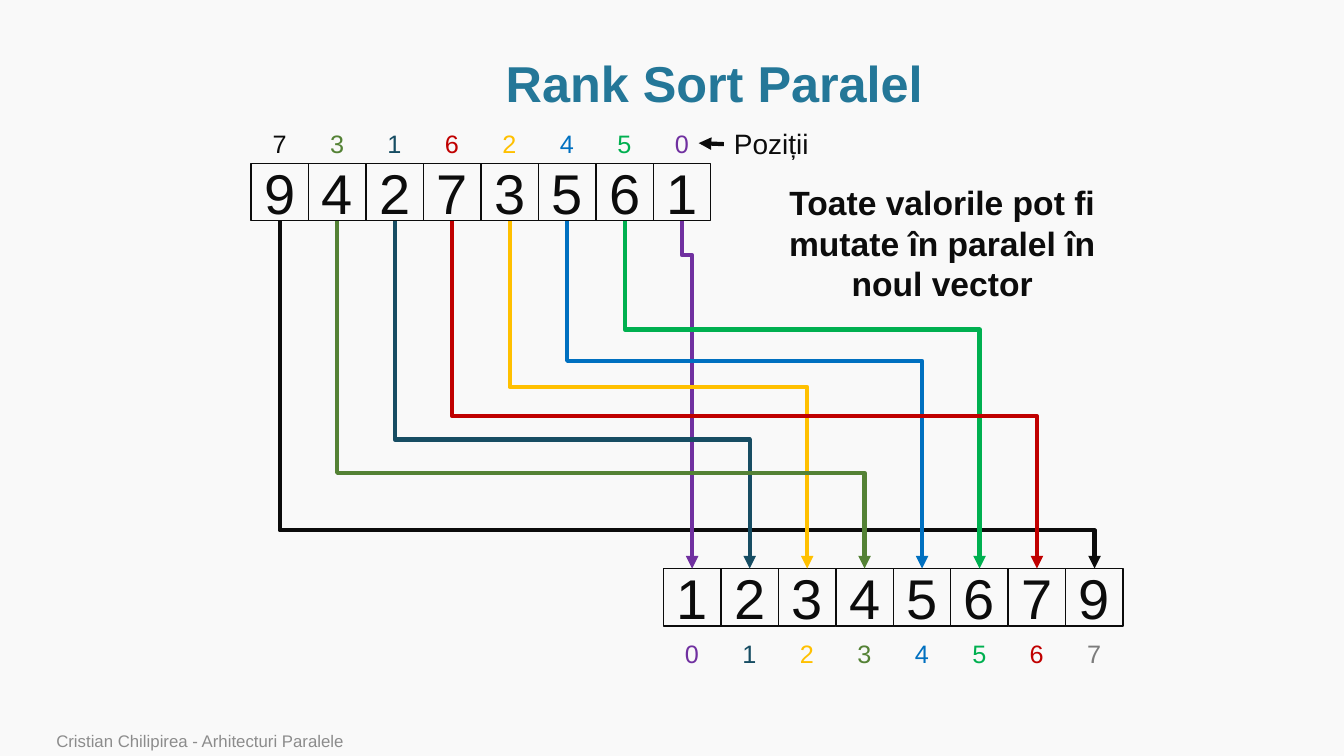
"""Build the parallel rank sort slide."""
from dataclasses import dataclass

from lxml import etree
from pptx import Presentation
from pptx.dml.color import RGBColor
from pptx.enum.shapes import MSO_CONNECTOR, MSO_SHAPE
from pptx.enum.text import MSO_ANCHOR, MSO_AUTO_SIZE, PP_ALIGN
from pptx.oxml.ns import qn
from pptx.shapes.connector import Connector
from pptx.slide import Slide
from pptx.text.text import TextFrame
from pptx.util import Inches, Pt

RECTANGLE = MSO_SHAPE.RECTANGLE
STRAIGHT, ELBOW = MSO_CONNECTOR.STRAIGHT, MSO_CONNECTOR.ELBOW
LEFT, CENTER = PP_ALIGN.LEFT, PP_ALIGN.CENTER
TOP, MIDDLE, BOTTOM = MSO_ANCHOR.TOP, MSO_ANCHOR.MIDDLE, MSO_ANCHOR.BOTTOM
NO_RESIZE, FIT_SHAPE = MSO_AUTO_SIZE.NONE, MSO_AUTO_SIZE.SHAPE_TO_FIT_TEXT
QUARTER_TURN_LEFT = "16200000"


@dataclass(frozen=True)
class Theme:
    font: str = "Arial"
    background: str = "F9F9F9"
    title: str = "247798"
    ink: str = "0C0C0C"
    footer: str = "8C8C8C"
    last_rank: str = "7C7C7C"
    title_size: int = 36
    cell_size: int = 40
    rank_size: int = 18
    caption_size: int = 20
    message_size: int = 24
    footer_size: int = 12
    arrow_width: int = 3


@dataclass(frozen=True)
class Element:
    value: int
    rank: int
    color: str
    bend: float


@dataclass(frozen=True)
class Vector:
    left: float
    top: float
    rank_top: float

    def cell_left(self, index: int) -> float:
        return self.left + index * CELL


THEME = Theme()
CELL = 0.57
RANK_WIDTH, RANK_HEIGHT = 0.34, 0.4
UNSORTED = Vector(2.49, 1.62, 1.22)
SORTED = Vector(6.58, 5.64, 6.28)
ELEMENTS = [
    Element(9, 7, THEME.ink, 5.26),
    Element(4, 3, "548235", 4.69),
    Element(2, 1, "174D63", 4.36),
    Element(7, 6, "C00000", 4.13),
    Element(3, 2, "FFC000", 3.84),
    Element(5, 4, "0070C0", 3.58),
    Element(6, 5, "00B050", 3.27),
    Element(1, 0, "7030A0", 2.53),
]


def write(frame: TextFrame, text: str, size: int, color: str,
          align: PP_ALIGN = LEFT, bold: bool = False) -> None:
    frame.text = text
    paragraph = frame.paragraphs[0]
    paragraph.alignment = align
    paragraph.font.name = THEME.font
    paragraph.font.size = Pt(size)
    paragraph.font.bold = bold
    paragraph.font.color.rgb = RGBColor.from_string(color)


def add_text(slide: Slide, left: float, top: float, width: float, height: float,
             text: str, size: int, color: str, align: PP_ALIGN = LEFT, bold: bool = False,
             wrap: bool = False, anchor: MSO_ANCHOR = TOP,
             resize: MSO_AUTO_SIZE = FIT_SHAPE) -> None:
    box = slide.shapes.add_textbox(Inches(left), Inches(top), Inches(width), Inches(height))
    frame = box.text_frame
    frame.word_wrap = wrap
    frame.auto_size = resize
    frame.vertical_anchor = anchor
    write(frame, text, size, color, align, bold)


def add_cell(slide: Slide, vector: Vector, index: int, element: Element,
             rank_color: str) -> None:
    left = vector.cell_left(index)
    cell = slide.shapes.add_shape(
        RECTANGLE, Inches(left), Inches(vector.top), Inches(CELL), Inches(CELL))
    cell.shadow.inherit = False
    cell.fill.background()
    cell.line.color.rgb = RGBColor.from_string(THEME.ink)
    cell.line.width = Pt(1)
    cell.text_frame.vertical_anchor = MIDDLE
    write(cell.text_frame, str(element.value), THEME.cell_size, THEME.ink, CENTER)
    add_text(slide, left + (CELL - RANK_WIDTH) / 2, vector.rank_top, RANK_WIDTH, RANK_HEIGHT,
             str(element.rank), THEME.rank_size, rank_color)


def add_arrow(slide: Slide, kind: MSO_CONNECTOR, start_x: float, start_y: float,
              end_x: float, end_y: float, color: str) -> Connector:
    arrow = slide.shapes.add_connector(
        kind, Inches(start_x), Inches(start_y), Inches(end_x), Inches(end_y))
    arrow.line.color.rgb = RGBColor.from_string(color)
    arrow.line.width = Pt(THEME.arrow_width)
    properties = arrow._element.spPr
    etree.SubElement(properties.find(qn("a:ln")), qn("a:tailEnd"), type="triangle")
    etree.SubElement(properties, qn("a:effectLst"))
    return arrow


def add_move(slide: Slide, index: int, element: Element) -> None:
    start_x = UNSORTED.cell_left(index) + CELL / 2
    end_x = SORTED.cell_left(element.rank) + CELL / 2
    start_y, end_y = UNSORTED.top + CELL, SORTED.top
    middle_x, middle_y = (start_x + end_x) / 2, (start_y + end_y) / 2
    half_width, half_height = (end_x - start_x) / 2, (end_y - start_y) / 2
    arrow = add_arrow(slide, ELBOW, middle_x + half_height, middle_y - half_width,
                      middle_x - half_height, middle_y + half_width, element.color)
    properties = arrow._element.spPr
    properties.find(qn("a:xfrm")).set("rot", QUARTER_TURN_LEFT)
    geometry = properties.find(qn("a:prstGeom"))
    adjustments = geometry.find(qn("a:avLst"))
    if adjustments is None:
        adjustments = etree.SubElement(geometry, qn("a:avLst"))
    bend = round((element.bend - start_y) / (end_y - start_y) * 100000)
    etree.SubElement(adjustments, qn("a:gd"), name="adj1", fmla=f"val {bend}")


def add_title(slide: Slide, text: str) -> None:
    title = slide.shapes.title
    title.left, title.top = Inches(1.14), Inches(0.51)
    title.width, title.height = Inches(11.89), Inches(0.69)
    title.text_frame.vertical_anchor = MIDDLE
    write(title.text_frame, text, THEME.title_size, THEME.title, CENTER, bold=True)
    title.text_frame.paragraphs[0].line_spacing = 0.9


def main() -> None:
    presentation = Presentation()
    presentation.slide_width, presentation.slide_height = Inches(13.33), Inches(7.5)
    slide = presentation.slides.add_slide(presentation.slide_layouts[5])
    slide.background.fill.solid()
    slide.background.fill.fore_color.rgb = RGBColor.from_string(THEME.background)
    add_title(slide, "Rank Sort Paralel")

    for index, element in enumerate(ELEMENTS):
        add_cell(slide, UNSORTED, index, element, element.color)
    add_text(slide, 7.18, 1.21, 0.95, 0.44, "Poziții", THEME.caption_size, THEME.ink)
    for element in sorted(ELEMENTS, key=lambda item: item.rank):
        is_last = element.rank == len(ELEMENTS) - 1
        add_cell(slide, SORTED, element.rank, element,
                 THEME.last_rank if is_last else element.color)

    add_arrow(slide, STRAIGHT, 7.18, 1.43, 6.93, 1.42, THEME.ink)
    moves = sorted(enumerate(ELEMENTS), key=lambda move: (move[1].rank + 1) % len(ELEMENTS))
    for index, element in moves:
        add_move(slide, index, element)

    add_text(slide, 7.51, 1.76, 3.67, 1.31,
             "Toate valorile pot fi mutate în paralel în noul vector",
             THEME.message_size, THEME.ink, CENTER, bold=True, wrap=True)
    add_text(slide, 0.46, 7.22, 9.82, 0.28, "Cristian Chilipirea - Arhitecturi Paralele",
             THEME.footer_size, THEME.footer, wrap=True, anchor=BOTTOM, resize=NO_RESIZE)
    presentation.save("out.pptx")


if __name__ == "__main__":
    main()
